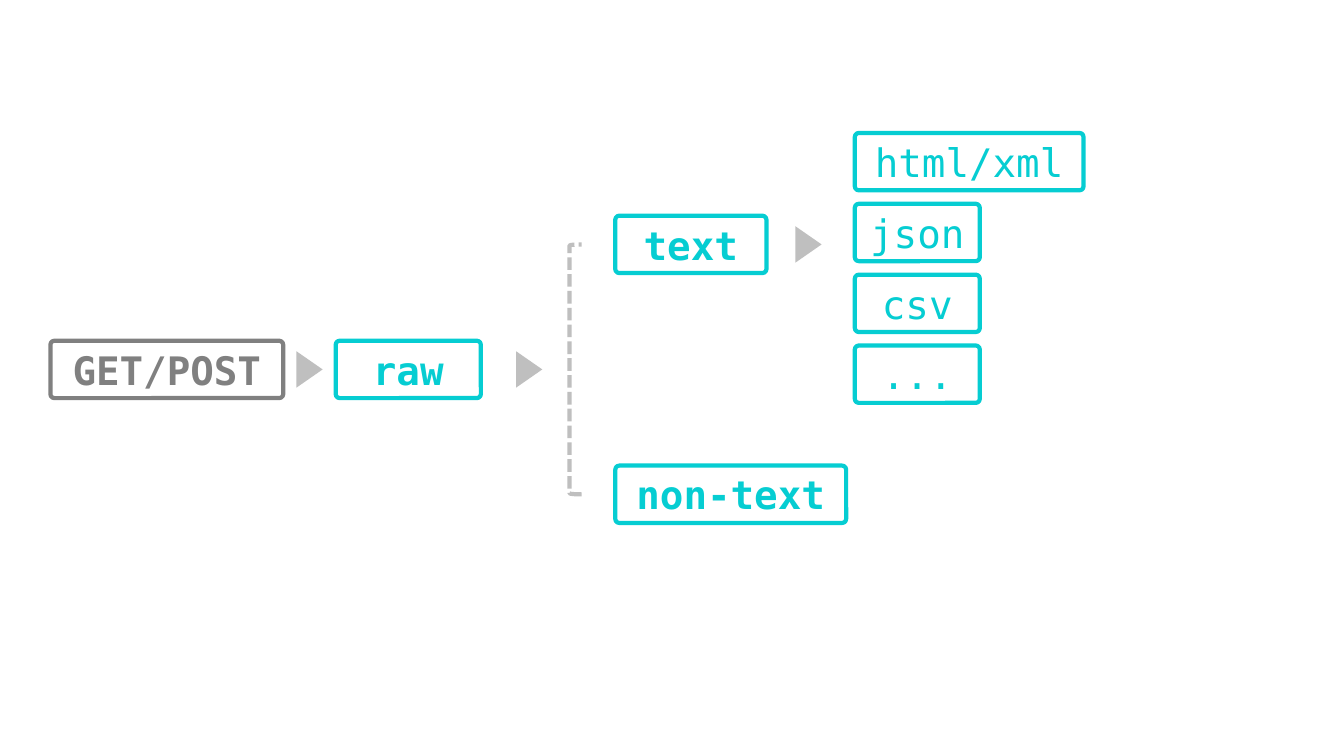
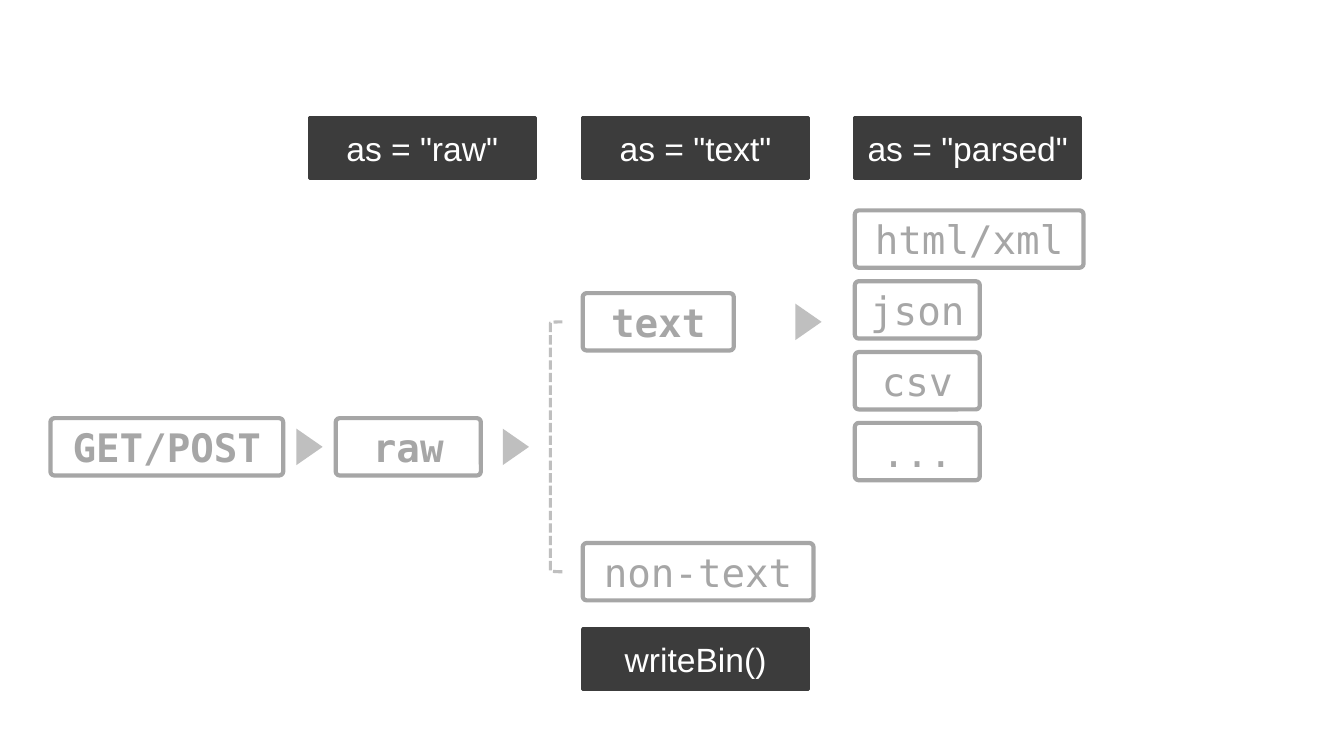
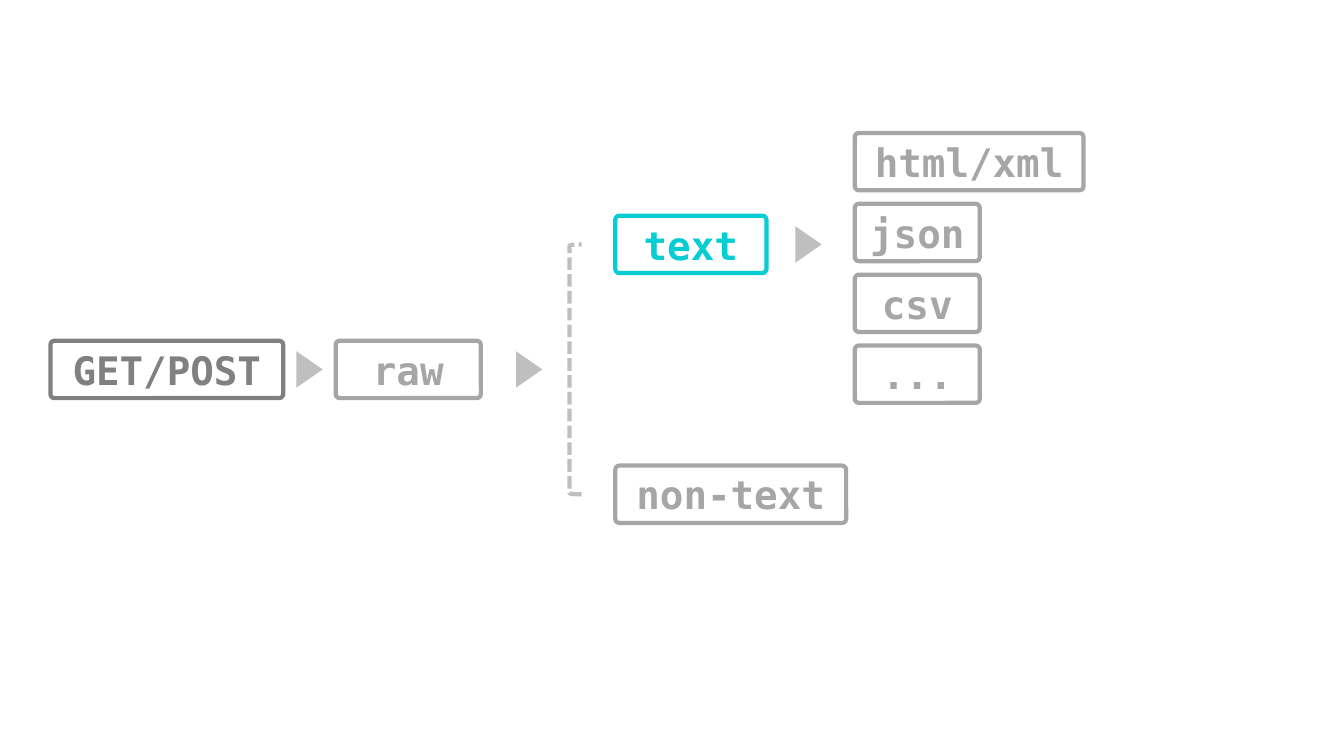
from dataclasses import dataclass

from pptx import Presentation
from pptx.dml.color import RGBColor
from pptx.enum import dml, shapes, text
from pptx.util import Pt


@dataclass(frozen=True)
class Theme:
    """Colours, fonts and sizes shared by the slides."""
    accent: str = "06CDD2"
    start: str = "808080"
    muted: str = "A6A6A6"
    arrow: str = "BFBFBF"
    label: str = "3C3C3C"
    white: str = "FFFFFF"
    mono: str = "DejaVu Sans Mono"
    sans: str = "Arial"
    box_size: int = 28
    label_size: int = 24


T = Theme()
KIND = shapes.MSO_SHAPE
BOX_H = 41


def add_shape(s, kind, x, y, w, h, fill=None, line=None, weight=3):
    """Add a shape without shadow, with an optional fill and outline."""
    sp = s.shapes.add_shape(kind, Pt(x), Pt(y), Pt(w), Pt(h))
    sp.shadow.inherit = False
    for fmt, color in ((sp.fill, fill), (sp.line.fill, line)):
        if color:
            fmt.solid()
            fmt.fore_color.rgb = RGBColor.from_string(color)
        else:
            fmt.background()
    if line:
        sp.line.width = Pt(weight)
    return sp


def write(sp, words, font, size, color, bold=False):
    """Write one centred line of text in a shape."""
    tf = sp.text_frame
    frame = {"word_wrap": True, "vertical_anchor": text.MSO_ANCHOR.MIDDLE}
    frame |= {f"margin_{side}": Pt(2.88) for side in ("left", "right", "top", "bottom")}
    for name, value in frame.items():
        setattr(tf, name, value)
    p = tf.paragraphs[0]
    p.alignment = text.PP_ALIGN.CENTER
    r = p.add_run()
    r.text = words
    for name, value in {"name": font, "size": Pt(size), "bold": bold}.items():
        setattr(r.font, name, value)
    r.font.color.rgb = RGBColor.from_string(color)


prs = Presentation()
prs.slide_width, prs.slide_height = Pt(960), Pt(540)

# Rows are box tops; drop moves the whole flow down to make room for labels.
START_Y, TEXT_Y, NONTEXT_Y = 243.4, 154.1, 332.6
FORMAT_X, FORMAT_Y, FORMAT_STEP = 610.6, 95, 50.6
FORMATS = [("html/xml", 163.4), ("json", 89.3), ("csv", 89.3), ("...", 89.3)]
LABEL_Y = 84.2

flows = [
    dict(drop=0, branch_x=439.5, arrow_x=365, bracket_x=406.8, weight=3,
         start=T.start, text=T.accent, rest=T.accent,
         plain=("html/xml", "json", "csv", "..."), labels=[]),
    dict(drop=55.3, branch_x=416.2, arrow_x=355.5, bracket_x=393.1, weight=2.25,
         start=T.muted, text=T.muted, rest=T.muted,
         plain=("html/xml", "json", "csv", "...", "non-text"),
         labels=[('as = "raw"', 221, LABEL_Y), ('as = "text"', 416.2, LABEL_Y),
                 ('as = "parsed"', FORMAT_X, LABEL_Y), ("writeBin()", 416.2, 449.3)]),
    dict(drop=0, branch_x=439.5, arrow_x=365, bracket_x=406.8, weight=3,
         start=T.start, text=T.accent, rest=T.muted, plain=(), labels=[]),
]

for flow in flows:
    s = prs.slides.add_slide(prs.slide_layouts[6])
    drop, branch_x = flow["drop"], flow["branch_x"]

    boxes = [("GET/POST", 36, START_Y, 166.3, flow["start"]),
             ("raw", 239.8, START_Y, 103.7, flow["rest"]),
             ("text", branch_x, TEXT_Y, 108, flow["text"]),
             ("non-text", branch_x, NONTEXT_Y, 164.9, flow["rest"])]
    boxes += [(name, FORMAT_X, FORMAT_Y + i * FORMAT_STEP, w, flow["rest"])
              for i, (name, w) in enumerate(FORMATS)]
    for name, x, y, w, color in boxes:
        sp = add_shape(s, KIND.ROUNDED_RECTANGLE, x, y + drop, w, BOX_H, line=color)
        sp.adjustments[0] = 0.07
        write(sp, name, T.mono, T.box_size, color, name not in flow["plain"])

    for x, row in ((208.1, START_Y), (flow["arrow_x"], START_Y), (564.5, TEXT_Y)):
        y = row + drop + (BOX_H - 18.7) / 2
        sp = add_shape(s, KIND.ISOSCELES_TRIANGLE, x, y, 26, 18.7, fill=T.arrow)
        sp.rotation = 90

    sp = add_shape(s, KIND.LEFT_BRACKET, flow["bracket_x"], TEXT_Y + drop + BOX_H / 2,
                   8.6, NONTEXT_Y - TEXT_Y, line=T.arrow, weight=flow["weight"])
    sp.line.dash_style = dml.MSO_LINE.SQUARE_DOT

    for words, x, y in flow["labels"]:
        sp = add_shape(s, KIND.RECTANGLE, x, y, 161.3, 43.2,
                       fill=T.label, line=T.label, weight=2.25)
        write(sp, words, T.sans, T.label_size, T.white)

prs.save("out.pptx")
